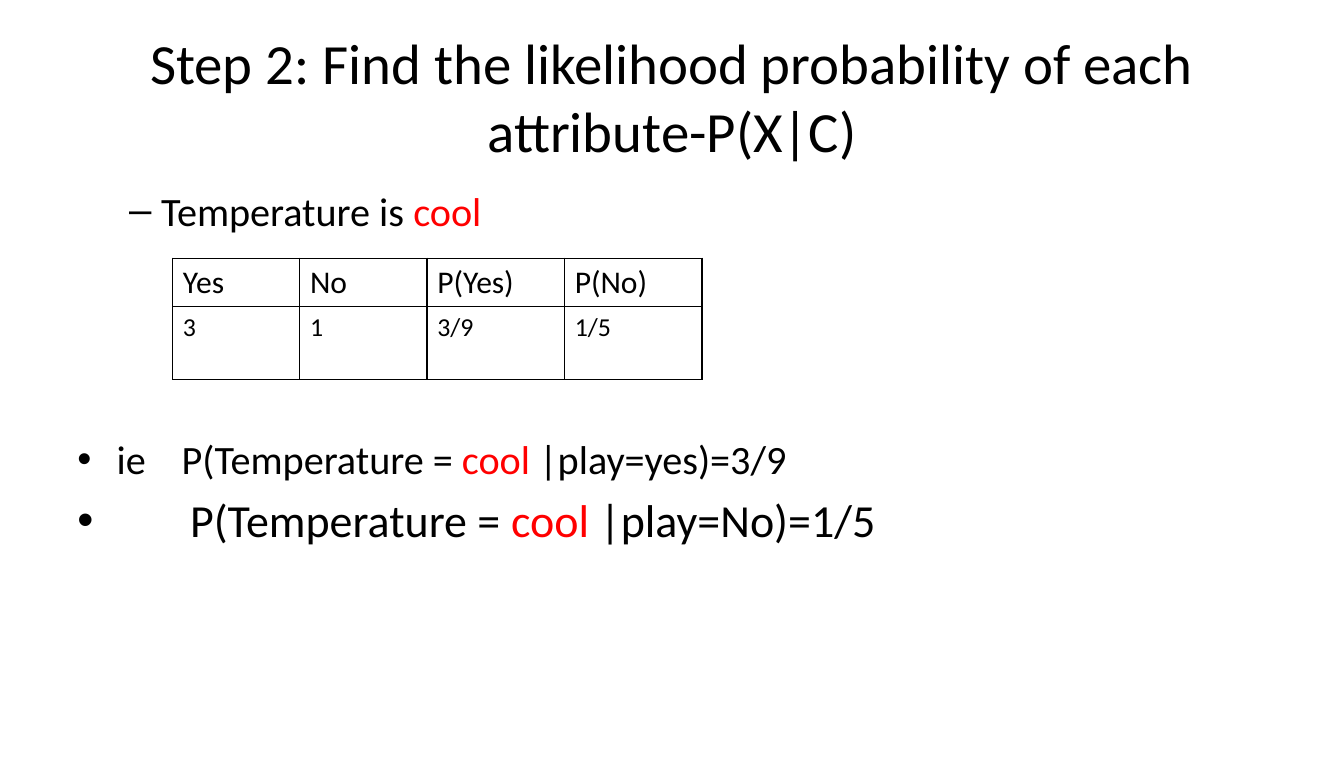
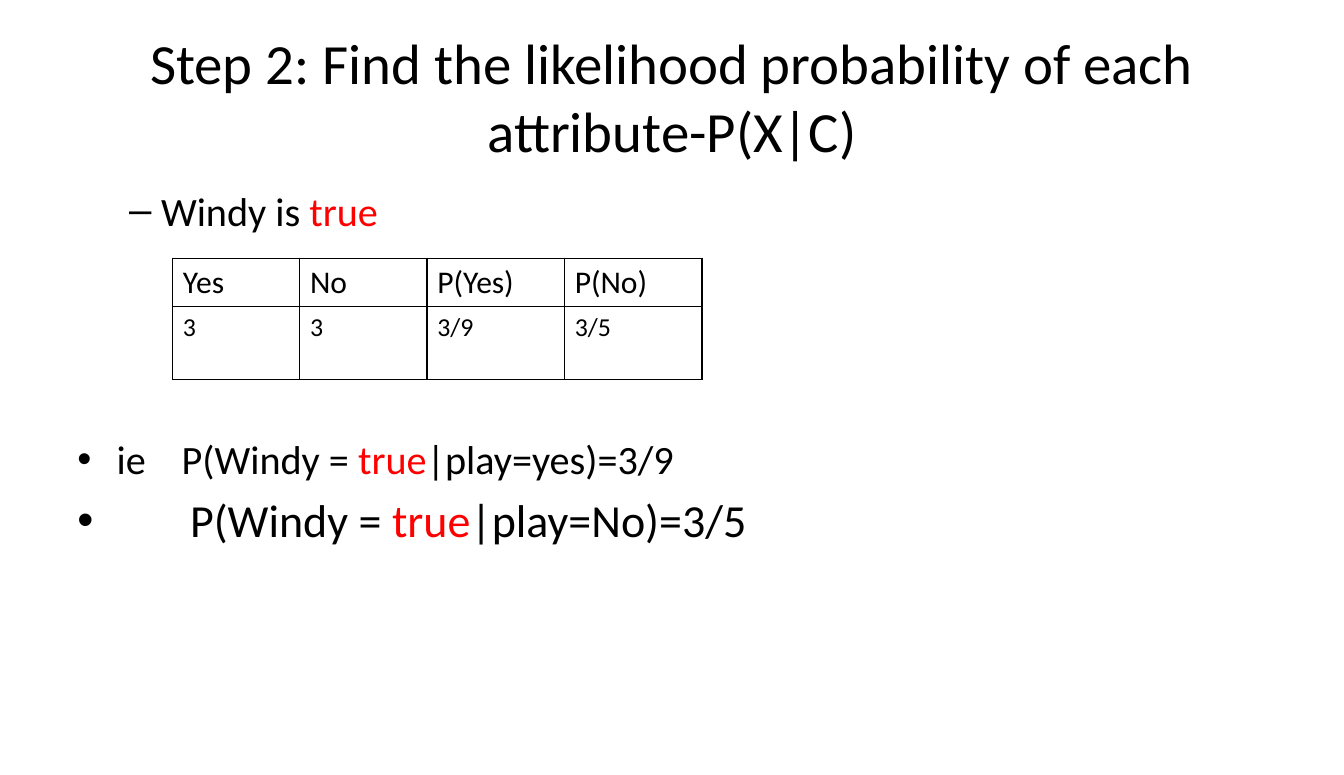
from lxml import etree
from pptx import Presentation
from pptx.dml.color import RGBColor
from pptx.enum.text import MSO_ANCHOR, MSO_AUTO_SIZE, PP_ALIGN
from pptx.oxml.ns import qn
from pptx.util import Inches, Pt

BLACK = RGBColor(0x00, 0x00, 0x00)
RED = RGBColor(0xFF, 0x00, 0x00)
FONT = "Calibri"
TITLE = "Step 2: Find the likelihood probability of each attribute-P(X|C)"
HEADERS = ["Yes", "No", "P(Yes)", "P(No)"]
COLUMN_WIDTHS = [1.23, 1.23, 1.33, 1.33]
ROW_HEIGHTS = [0.47, 0.7]
ROW_SIZES = [22, 18]


class LikelihoodDeck:
    def __init__(self):
        self.deck = Presentation()
        self.deck.slide_width = Inches(13)
        self.deck.slide_height = Inches(7.5)
        self.page = None

    def style(self, font, size, color=BLACK):
        font.name = FONT
        font.size = Pt(size)
        font.color.rgb = color

    def add_page(self, title):
        self.page = self.deck.slides.add_slide(self.deck.slide_layouts[5])
        box = self.page.shapes.title
        box.left, box.top = Inches(0.65), Inches(0.3)
        box.width, box.height = Inches(11.7), Inches(1.25)
        frame = box.text_frame
        frame.text = title
        frame.auto_size = MSO_AUTO_SIZE.NONE
        frame.vertical_anchor = MSO_ANCHOR.MIDDLE
        para = frame.paragraphs[0]
        para.alignment = PP_ALIGN.CENTER
        self.style(para.runs[0].font, 39.6)

    def add_body(self):
        box = self.page.shapes.add_textbox(
            Inches(0.65), Inches(1.75), Inches(11.7), Inches(4.95))
        box.text_frame.word_wrap = True
        return box.text_frame

    def add_bullet(self, para, spans, size, bullet, indent, hanging, before=0, tab=None):
        """Fill a bulleted paragraph; every second span is highlighted."""
        props = para._p.get_or_add_pPr()
        props.set("marL", str(Inches(indent)))
        props.set("indent", str(-Inches(hanging)))
        etree.SubElement(props, qn("a:buFont"), typeface="Arial")
        etree.SubElement(props, qn("a:buChar"), char=bullet)
        if tab:
            tabs = etree.SubElement(props, qn("a:tabLst"))
            etree.SubElement(tabs, qn("a:tab"), pos=str(Inches(tab)), algn="l")
        if before:
            para.space_before = Pt(before)
        for index, text in enumerate(spans):
            span = para.add_run()
            span.text = text
            self.style(span.font, size, RED if index % 2 else BLACK)

    def add_borders(self, cell):
        props = cell._tc.get_or_add_tcPr()
        for position, side in enumerate(("lnL", "lnR", "lnT", "lnB")):
            line = etree.Element(qn(f"a:{side}"), w=str(Pt(1)))
            fill = etree.SubElement(line, qn("a:solidFill"))
            etree.SubElement(fill, qn("a:srgbClr"), val=str(BLACK))
            props.insert(position, line)

    def add_table(self, rows):
        table = self.page.shapes.add_table(
            len(rows), len(HEADERS), Inches(1.67), Inches(2.5),
            Inches(sum(COLUMN_WIDTHS)), Inches(sum(ROW_HEIGHTS))).table
        table.first_row = table.horz_banding = False
        for column, width in zip(table.columns, COLUMN_WIDTHS):
            column.width = Inches(width)
        for row, height, size, texts in zip(table.rows, ROW_HEIGHTS, ROW_SIZES, rows):
            row.height = Inches(height)
            for cell, text in zip(row.cells, texts):
                cell.text = text
                cell.fill.background()
                self.style(cell.text_frame.paragraphs[0].runs[0].font, size)
                self.add_borders(cell)

    def add_likelihood(self, attribute, value, gap, counts):
        self.add_page(TITLE)
        yes, no = counts[2:]
        frame = self.add_body()
        self.add_bullet(frame.paragraphs[0], [f"{attribute} is ", value],
                        28, "–", 0.81, 0.31)
        self.add_bullet(frame.add_paragraph(),
                        [f"ie\tP({attribute} = ", value + gap, f"|play=yes)={yes}"],
                        28, "•", 0.38, 0.38, before=139.5, tab=1.01)
        self.add_bullet(frame.add_paragraph(),
                        [f"\tP({attribute} = ", value + gap, f"|play=No)={no}"],
                        32, "•", 0.38, 0.38, before=6.4, tab=1.09)
        self.add_table([HEADERS, counts])


def main():
    slides = LikelihoodDeck()
    slides.add_likelihood("Temperature", "cool", " ", ["3", "1", "3/9", "1/5"])
    slides.add_likelihood("Windy", "true", "", ["3", "3", "3/9", "3/5"])
    slides.deck.save("out.pptx")


if __name__ == "__main__":
    main()
